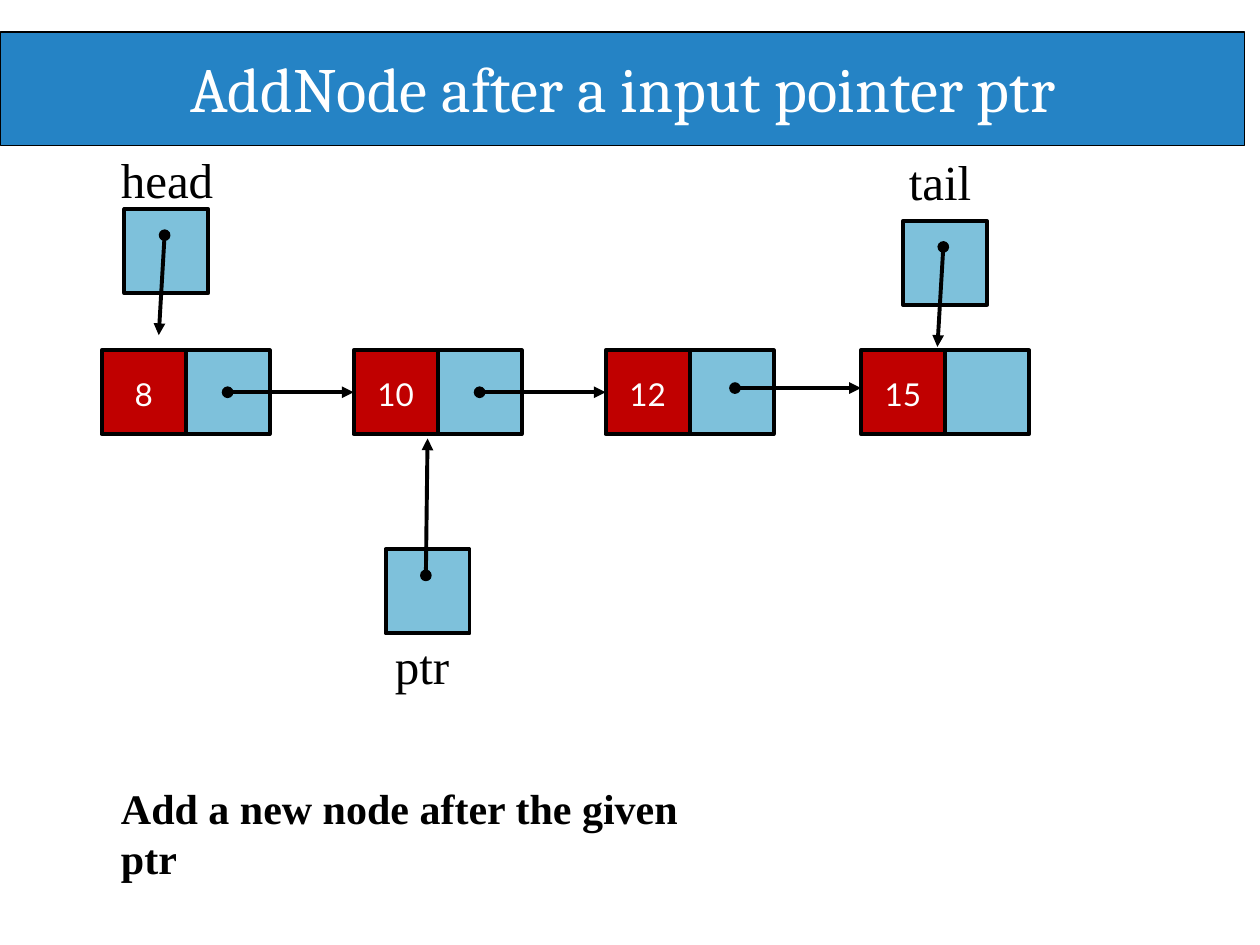
from dataclasses import dataclass

from lxml import etree
from pptx import Presentation
from pptx.dml.color import RGBColor
from pptx.enum.shapes import MSO_CONNECTOR, MSO_SHAPE
from pptx.enum.text import MSO_ANCHOR, PP_ALIGN
from pptx.oxml.ns import qn
from pptx.util import Inches, Pt

RECT = MSO_SHAPE.RECTANGLE
STRAIGHT = MSO_CONNECTOR.STRAIGHT
TOP = MSO_ANCHOR.TOP
LEFT, CENTER = PP_ALIGN.LEFT, PP_ALIGN.CENTER
TITLE_ONLY = 5

WIDTH, HEIGHT = Inches(10), Inches(7.5)
COLUMNS = 15
CELL = WIDTH / COLUMNS  # square grid: one list cell is one column by one row


@dataclass(frozen=True)
class Theme:
    banner: RGBColor = RGBColor(0x25, 0x83, 0xC5)
    value: RGBColor = RGBColor(0xC0, 0x00, 0x00)
    link: RGBColor = RGBColor(0x7E, 0xC1, 0xDB)
    ink: RGBColor = RGBColor(0, 0, 0)
    white: RGBColor = RGBColor(0xFF, 0xFF, 0xFF)
    title_font: str = "Cambria"
    value_font: str = "Lato"
    text_font: str = "Times New Roman"
    title_size: float = 36
    label_size: float = 28
    caption_size: float = 24
    value_size: float = 18
    thin: float = 0.75
    thick: float = 2.25


def grid(*cells):
    return [round(c * CELL) for c in cells]


class ListSlide:
    def __init__(self, prs, theme):
        self.theme = theme
        self.s = prs.slides.add_slide(prs.slide_layouts[TITLE_ONLY])

    def paint(self, sp, fill, width):
        sp.fill.solid()
        sp.fill.fore_color.rgb = fill
        sp.line.color.rgb = self.theme.ink
        sp.line.width = Pt(width)

    def frame(self, sp, top, right=0, wrap=True):
        """Set insets in inches and anchor the text at the top."""
        tf = sp.text_frame
        tf.margin_left = tf.margin_bottom = 0
        tf.margin_top, tf.margin_right = Inches(top), Inches(right)
        tf.vertical_anchor = TOP
        tf.word_wrap = wrap
        return tf

    def set_text(self, p, text, font, size, color, align=LEFT, bold=False):
        p.text = text
        p.alignment = align
        p.font.name, p.font.size, p.font.bold = font, Pt(size), bold
        p.font.color.rgb = color

    def title(self, text, *box):
        t, sp = self.theme, self.s.shapes.title
        sp.left, sp.top, sp.width, sp.height = grid(*box)
        self.paint(sp, t.banner, t.thin)
        tf = self.frame(sp, 0.14)
        self.set_text(tf.paragraphs[0], text, t.title_font, t.title_size, t.white, CENTER)

    def label(self, text, *box):
        t = self.theme
        tf = self.frame(self.s.shapes.add_textbox(*grid(*box)), 0.01, wrap=False)
        self.set_text(tf.paragraphs[0], text, t.text_font, t.label_size, t.ink)

    def caption(self, label, sentence, *box):
        t = self.theme
        tf = self.frame(self.s.shapes.add_textbox(*grid(*box)), 0.01, right=0.2)
        self.set_text(tf.paragraphs[0], label, t.text_font, t.label_size, t.ink, CENTER)
        p = tf.add_paragraph()
        self.set_text(p, sentence, t.text_font, t.caption_size, t.ink, bold=True)
        p.space_before = Pt(50.4)

    def cell(self, x, y, fill, text=""):
        t = self.theme
        sp = self.s.shapes.add_shape(RECT, *grid(x, y, 1, 1))
        sp.shadow.inherit = False
        self.paint(sp, fill, t.thick)
        if text:
            p = self.frame(sp, 0.2).paragraphs[0]
            self.set_text(p, text, t.value_font, t.value_size, t.white, CENTER)

    def node(self, x, y, value):
        self.cell(x + 1, y, self.theme.link)
        self.cell(x, y, self.theme.value, value)

    def arrow(self, *ends):
        """Draw a line with a dot at its start and an arrowhead at its end."""
        cx = self.s.shapes.add_connector(STRAIGHT, *grid(*ends))
        cx.line.color.rgb = self.theme.ink
        cx.line.width = Pt(self.theme.thick)
        ln = cx._element.spPr.find(qn("a:ln"))
        for tag, kind in (("a:headEnd", "oval"), ("a:tailEnd", "triangle")):
            etree.SubElement(ln, qn(tag), type=kind)
        etree.SubElement(cx._element.spPr, qn("a:effectLst"))

    def pointer(self, x, y, dx, dy):
        """Draw a pointer cell whose arrow ends at an offset from its corner."""
        self.cell(x, y, self.theme.link)
        self.arrow(x + 0.48, y + 0.31, x + dx, y + dy)


def main():
    prs = Presentation()
    prs.slide_width, prs.slide_height = WIDTH, HEIGHT
    slide = ListSlide(prs, Theme())

    slide.title("AddNode after a input pointer ptr", 0.01, 0.38, 14.81, 1.35)
    slide.label("head", 1.44, 1.76, 1.14, 0.73)
    slide.label("tail", 10.82, 1.79, 0.78, 0.73)

    row = 4.17
    nodes = [(1.21, "8"), (4.21, "10"), (7.21, "12"), (10.25, "15")]
    for x, value in nodes:
        slide.node(x, row, value)
    for (following, _), rise in zip(nodes[1:], (0.5, 0.5, 0.45)):
        slide.arrow(following - 1.5, row + rise, following, row + rise)

    slide.pointer(1.48, 2.49, 0.41, 1.5)
    slide.pointer(10.75, 2.63, 0.41, 1.5)
    slide.pointer(4.59, 6.54, 0.5, -1.32)
    slide.caption("ptr", "Add a new node after the given ptr", 1.44, 7.55, 7.47, 2.38)

    prs.save("out.pptx")


if __name__ == "__main__":
    main()
